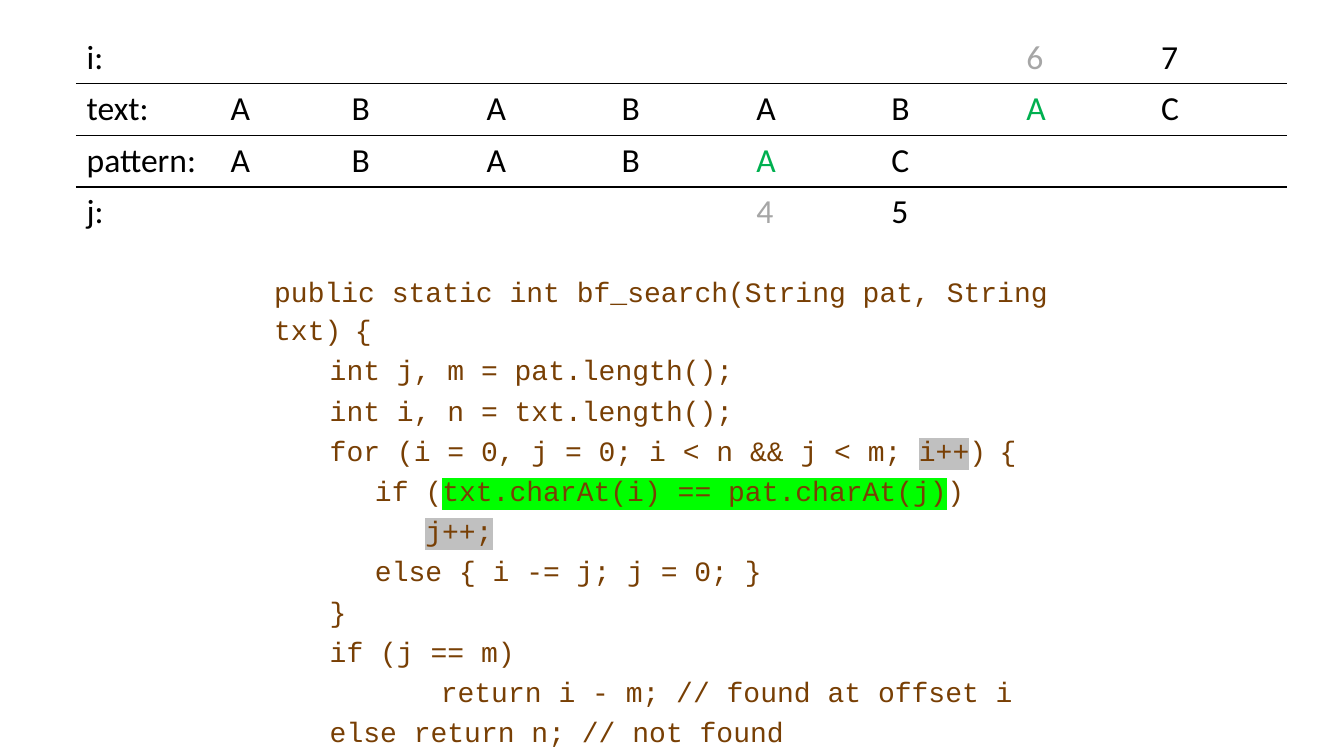
from lxml.etree import SubElement, Element
from pptx import Presentation
from pptx.dml.color import RGBColor as Rgb
from pptx.oxml.ns import qn
from pptx.util import Cm, Pt

BLACK, GREY, GREEN, BROWN = "000000", "A6A6A6", "00B050", "783F04"
SILVER_MARK, GREEN_MARK = "C0C0C0", "00FF00"
TABLE_FONT = {"name": "Calibri", "size": Pt(24)}
CODE_FONT = {"name": "Courier New", "size": Pt(20)}
SMALL_GAP = (" ", {"size": Pt(16)})

# Row label, letters by column, and colours that differ from black
TRACE = [
    ("i:", {7: "6", 8: "7"}, {7: GREY}),
    ("text:", dict(enumerate("ABABABAC", 1)), {7: GREEN}),
    ("pattern:", dict(enumerate("ABABAC", 1)), {5: GREEN}),
    ("j:", {5: "4", 6: "5"}, {5: GREY}),
]
COLUMN_WIDTHS = [3.63, 3.05] + [3.4] * 7
ROW_HEIGHT = 1.3

# Left margin and first-line indent in cm, then the pieces of the line
STEP = 1.4
CODE = [
    (0, 0, ["public static int bf_search(String pat, String txt)", SMALL_GAP, "{"]),
    (0, STEP, ["int j, m = pat.length();"]),
    (0, STEP, ["int i, n = txt.length();"]),
    (0, STEP, ["for (i = 0, j = 0; i < n && j < m; ",
               ("i++", {"mark": SILVER_MARK}), ")", SMALL_GAP, "{"]),
    (0, STEP, ["\tif (", ("txt.charAt(i) == pat.charAt(j)", {"mark": GREEN_MARK}), ")"]),
    (0, STEP, ["\t\t", ("j++;", {"mark": SILVER_MARK})]),
    (0, STEP, ["\telse { i -= j; j = 0; }"]),
    (0, STEP, ["}"]),
    (0, STEP, ["if (j == m)"]),
    (2 * STEP, STEP, ["return i - m; // found at offset i"]),
    (0, STEP, ["else return n; // not found"]),
    (0, 0, ["}"]),
]


def rgb(colour):
    return Rgb.from_string(colour)


def set_all(target, values):
    for name, value in values.items():
        setattr(target, name, value)


def add_colour(parent, colour):
    SubElement(parent, qn("a:srgbClr"), val=colour)


def add_run(paragraph, text, font, colour, mark=None):
    run = paragraph.add_run()
    run.text = text
    set_all(run.font, font)
    run.font.color.rgb = rgb(colour)
    if mark:
        highlight = Element(qn("a:highlight"))
        add_colour(highlight, mark)
        run.font._element.find(qn("a:solidFill")).addnext(highlight)


def add_rules(cell, sides):
    """Draw black lines on the given sides of a cell."""
    properties = cell._tc.get_or_add_tcPr()
    for place, side in enumerate(sides):
        line = Element(qn("a:ln" + side), w=str(Pt(1)))
        add_colour(SubElement(line, qn("a:solidFill")), BLACK)
        properties.insert(place, line)


def add_trace_table(slide):
    frame = slide.shapes.add_table(
        len(TRACE), len(COLUMN_WIDTHS), Cm(1.93), Cm(0.81),
        Cm(sum(COLUMN_WIDTHS)), Cm(ROW_HEIGHT * len(TRACE)))
    trace = frame.table
    set_all(trace, {"first_row": False, "horz_banding": False})
    for column, width in zip(trace.columns, COLUMN_WIDTHS):
        column.width = Cm(width)
    last = len(TRACE) - 1
    for r, (label, letters, colours) in enumerate(TRACE):
        trace.rows[r].height = Cm(ROW_HEIGHT)
        texts = {0: label, **letters}
        for c in range(len(COLUMN_WIDTHS)):
            cell = trace.cell(r, c)
            cell.fill.background()
            add_rules(cell, ["T"] * (r > 0) + ["B"] * (r < last))
            if c in texts:
                add_run(cell.text_frame.paragraphs[0], texts[c],
                        TABLE_FONT, colours.get(c, BLACK))


def add_code(slide):
    box = slide.shapes.add_textbox(Cm(6.63), Cm(6.5), Cm(21.11), Cm(12.55))
    listing = box.text_frame
    margins = ("margin_left", "margin_top", "margin_right", "margin_bottom")
    set_all(listing, {"word_wrap": True, **dict.fromkeys(margins, Cm(0.28))})
    for number, (margin, indent, pieces) in enumerate(CODE):
        line = listing.add_paragraph() if number else listing.paragraphs[0]
        set_all(line, {"line_spacing": 1.15, "space_before": Pt(1.1 if number else 0)})
        properties = line._p.get_or_add_pPr()
        properties.set("marL", str(Cm(margin)))
        properties.set("indent", str(Cm(indent)))
        for piece in pieces:
            text, extra = (piece, {}) if isinstance(piece, str) else piece
            font = {**CODE_FONT, **extra}
            mark = font.pop("mark", None)
            add_run(line, text, font, BROWN, mark)


def main():
    deck = Presentation()
    set_all(deck, {"slide_width": Cm(33.87), "slide_height": Cm(19.05)})
    slide = deck.slides.add_slide(deck.slide_layouts[6])
    # Search code below, state of the comparison above
    add_code(slide)
    add_trace_table(slide)
    deck.save("out.pptx")


if __name__ == "__main__":
    main()
